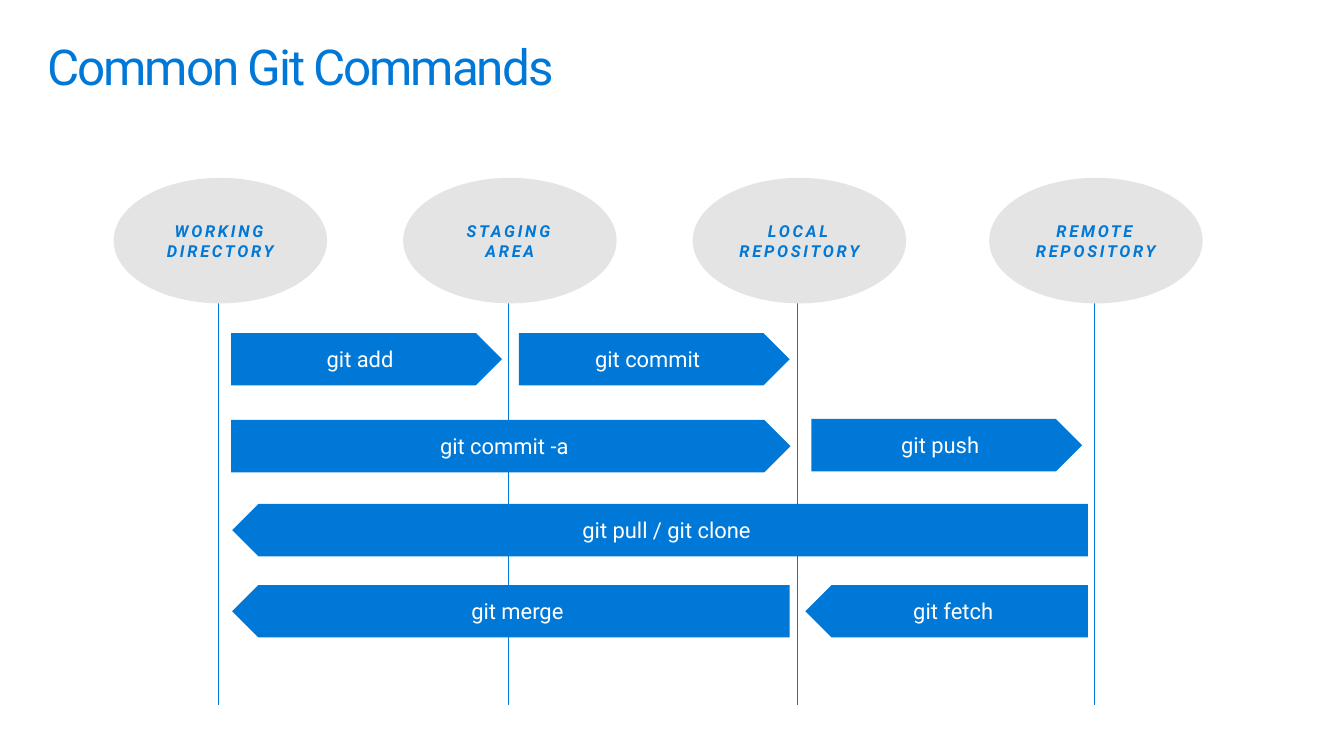
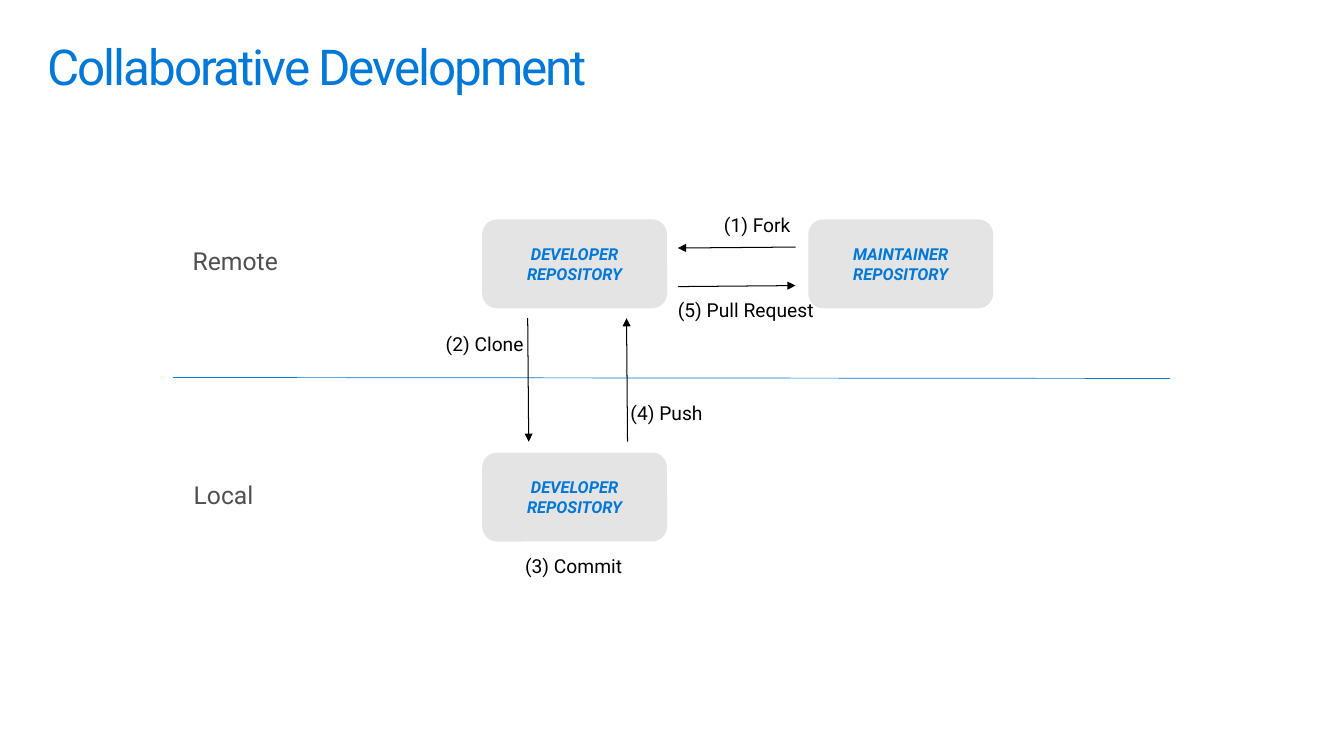
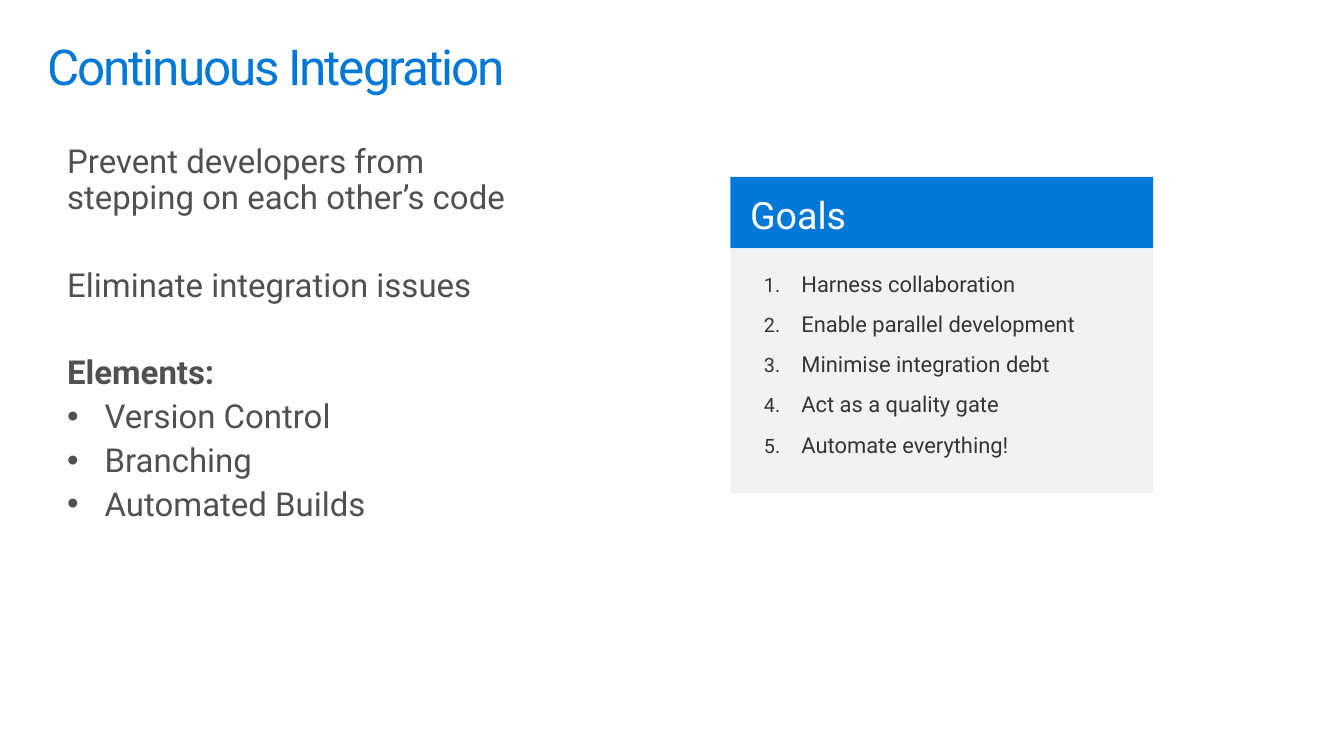
from dataclasses import dataclass, replace
from typing import NamedTuple

from lxml import etree
from pptx import Presentation
from pptx import util as u
from pptx.dml.color import RGBColor
from pptx.enum import shapes, text
from pptx.oxml.ns import qn

PX = 9144  # EMU per px, 100 px to the inch
FONT = "Roboto"
BLUE = RGBColor(0x00, 0x78, 0xD7)
WHITE = RGBColor(0xFF, 0xFF, 0xFF)
BLACK = RGBColor(0x00, 0x00, 0x00)
SILVER = RGBColor(0xE4, 0xE4, 0xE4)
PALE = RGBColor(0xF2, 0xF2, 0xF2)
SLATE = RGBColor(0x50, 0x50, 0x50)
CHARCOAL = RGBColor(0x35, 0x35, 0x35)

LEFT, CENTER, RIGHT = text.PP_ALIGN.LEFT, text.PP_ALIGN.CENTER, text.PP_ALIGN.RIGHT
TOP, MIDDLE = text.MSO_ANCHOR.TOP, text.MSO_ANCHOR.MIDDLE
SHAPE = shapes.MSO_SHAPE
HANGING = 38


class Box(NamedTuple):
    left: int
    top: int
    width: int
    height: int

    def emu(self) -> list[int]:
        return [px * PX for px in self]


class Point(NamedTuple):
    x: int
    y: int


@dataclass(frozen=True)
class Style:
    size: float
    color: RGBColor
    align: text.PP_ALIGN = LEFT
    anchor: text.MSO_ANCHOR = TOP
    insets: tuple[int, int, int, int] = (20, 16, 20, 16)
    line_spacing: float = 0.9
    after: int = 0
    bold: bool = False
    italic: bool = False
    tracking: int = 0  # hundredths of a point
    bullet: str = ""  # "•" or "1."


TITLE = Style(36, BLUE, insets=(0, 18, 0, 0), tracking=-150)
COMMAND = Style(16, WHITE, CENTER)
REPOSITORY = Style(12, BLUE, CENTER, MIDDLE, line_spacing=1.0, bold=True, italic=True)
LANE = replace(REPOSITORY, insets=(10, 5, 10, 5), tracking=200)
ZONE = Style(18, SLATE, after=6)
STEP = Style(14, BLACK, CENTER, after=6)
BODY = Style(24, SLATE, after=6)
BODY_GAP = replace(BODY, after=38)
BODY_HEAD = replace(BODY, bold=True)
BODY_BULLET = replace(BODY, bullet="•")
PANEL_HEAD = Style(27.4, WHITE, insets=(20, 5, 10, 5))
GOAL = Style(16, CHARCOAL, insets=(0, 0, 0, 0), line_spacing=1.0, after=10, bullet="1.")


class Line(NamedTuple):
    words: str
    style: Style


class Command(NamedTuple):
    words: str
    box: Box
    backward: bool = False


class Label(NamedTuple):
    words: str
    box: Box
    style: Style


def add_bullet(para, mark: str) -> None:
    props = para._p.get_or_add_pPr()
    props.set("marL", str(HANGING * PX))
    props.set("indent", str(-HANGING * PX))
    if mark == "1.":
        items = [("a:buSzPct", "val", "90000"), ("a:buAutoNum", "type", "arabicPeriod")]
    else:
        items = [("a:buFont", "typeface", "Arial"), ("a:buChar", "char", mark)]
    font_props = props.find(qn("a:defRPr"))
    for tag, key, value in items:
        item = etree.Element(qn(tag))
        item.set(key, value)
        font_props.addprevious(item)


def write(frame, lines: list[Line]) -> None:
    """Fill a text frame; the first line's style sets insets and anchor."""
    first = lines[0].style
    frame.word_wrap = True
    frame.auto_size = text.MSO_AUTO_SIZE.NONE
    frame.vertical_anchor = first.anchor
    (frame.margin_left, frame.margin_top,
     frame.margin_right, frame.margin_bottom) = [px * PX for px in first.insets]
    for index, (words, style) in enumerate(lines):
        para = frame.add_paragraph() if index else frame.paragraphs[0]
        para.text = words
        para.alignment = style.align
        para.line_spacing = style.line_spacing
        para.space_before = u.Pt(0)
        para.space_after = u.Pt(style.after)
        font = para.font
        font.name, font.size = FONT, u.Pt(style.size)
        font.bold, font.italic = style.bold, style.italic
        font.color.rgb = style.color
        if style.tracking:
            para._p.pPr.find(qn("a:defRPr")).set("spc", str(style.tracking))
        if style.bullet:
            add_bullet(para, style.bullet)


def add_page(deck, title: str):
    page = deck.slides.add_slide(deck.slide_layouts[5])
    holder = page.shapes.title
    holder.left, holder.top, holder.width, holder.height = Box(48, 25, 1265, 83).emu()
    write(holder.text_frame, [Line(title, TITLE)])
    return page


def add_filled(parent, kind: shapes.MSO_SHAPE, box: Box, fill: RGBColor):
    shape = parent.shapes.add_shape(kind, *box.emu())
    shape.shadow.inherit = False
    shape.fill.solid()
    shape.fill.fore_color.rgb = fill
    shape.line.fill.background()
    return shape


def add_text(parent, box: Box, lines: list[Line]) -> None:
    write(parent.shapes.add_textbox(*box.emu()).text_frame, lines)


def add_line(page, start: Point, end: Point, color: RGBColor, width: float,
             arrow: bool = False) -> None:
    line = page.shapes.add_connector(
        shapes.MSO_CONNECTOR.STRAIGHT, *[px * PX for px in (*start, *end)])
    line.line.color.rgb = color
    line.line.width = u.Pt(width)
    if arrow:
        etree.SubElement(line.line._get_or_add_ln(), qn("a:tailEnd")).set("type", "triangle")
    etree.SubElement(line._element.spPr, qn("a:effectLst"))


def build_commands(deck) -> None:
    page = add_page(deck, "Common Git Commands")
    lanes = {
        "WORKING DIRECTORY": 115,
        "STAGING AREA": 408,
        "LOCAL REPOSITORY": 701,
        "REMOTE REPOSITORY": 1001,
    }
    for left in lanes.values():
        add_line(page, Point(left + 106, 713), Point(left + 106, 306), BLUE, 0.5)

    for words, box, backward in (
        Command("git add", Box(234, 337, 274, 53)),
        Command("git commit", Box(525, 337, 274, 53)),
        Command("git commit -a", Box(234, 425, 566, 53)),
        Command("git push", Box(821, 424, 274, 53)),
        Command("git pull / git clone", Box(235, 510, 866, 53), True),
        Command("git fetch", Box(815, 592, 286, 53), True),
        Command("git merge", Box(235, 592, 564, 53), True),
    ):
        arrow = add_filled(page, SHAPE.PENTAGON, box, BLUE)
        if backward:
            arrow._element.spPr.find(qn("a:xfrm")).set("flipH", "1")
        write(arrow.text_frame, [Line(words, COMMAND)])

    for words, left in lanes.items():
        lane = add_filled(page, SHAPE.OVAL, Box(left, 180, 216, 127), SILVER)
        write(lane.text_frame, [Line(words, LANE)])


def build_collaboration(deck) -> None:
    page = add_page(deck, "Collaborative Development")
    add_line(page, Point(1184, 383), Point(175, 382), BLUE, 0.5)
    for words, left, top in (
        ("MAINTAINER REPOSITORY", 818, 222),
        ("DEVELOPER REPOSITORY", 488, 222),
        ("DEVELOPER REPOSITORY", 488, 458),
    ):
        repository = add_filled(page, SHAPE.ROUNDED_RECTANGLE, Box(left, top, 187, 90), SILVER)
        write(repository.text_frame, [Line(words, REPOSITORY)])

    for start, end in (
        (Point(805, 250), Point(686, 251)),
        (Point(686, 290), Point(805, 289)),
        (Point(534, 322), Point(535, 447)),
        (Point(635, 447), Point(634, 322)),
    ):
        add_line(page, start, end, BLACK, 0.75, arrow=True)

    for words, box, style in (
        Label("Remote", Box(175, 236, 300, 60), ZONE),
        Label("Local", Box(176, 473, 300, 60), ZONE),
        Label("(1) Fork", Box(671, 202, 149, 54), replace(STEP, align=RIGHT)),
        Label("(5) Pull Request", Box(666, 289, 187, 54), replace(STEP, align=LEFT)),
        Label("(3) Commit", Box(506, 548, 149, 54), STEP),
        Label("(2) Clone", Box(416, 323, 149, 54), STEP),
        Label("(4) Push", Box(600, 393, 149, 54), STEP),
    ):
        add_text(page, box, [Line(words, style)])


def build_integration(deck) -> None:
    page = add_page(deck, "Continuous Integration")
    add_text(page, Box(48, 131, 527, 418), [
        Line("Prevent developers from stepping on each other’s code", BODY_GAP),
        Line("Eliminate integration issues", BODY_GAP),
        Line("Elements:", BODY_HEAD),
        Line("Version Control", BODY_BULLET),
        Line("Branching", BODY_BULLET),
        Line("Automated Builds", BODY_BULLET),
    ])
    panel = page.shapes.add_group_shape()
    add_filled(panel, SHAPE.RECTANGLE, Box(739, 179, 428, 72), BLUE)
    add_filled(panel, SHAPE.RECTANGLE, Box(739, 252, 428, 247), PALE)
    add_text(panel, Box(739, 194, 409, 52), [Line("Goals", PANEL_HEAD)])
    add_text(panel, Box(773, 274, 375, 245), [Line(goal, GOAL) for goal in (
        "Harness collaboration",
        "Enable parallel development",
        "Minimise integration debt",
        "Act as a quality gate",
        "Automate everything!",
    )])


def main() -> None:
    deck = Presentation()
    deck.slide_width, deck.slide_height = 1360 * PX, 765 * PX
    build_commands(deck)
    build_collaboration(deck)
    build_integration(deck)
    deck.save("out.pptx")


if __name__ == "__main__":
    main()
